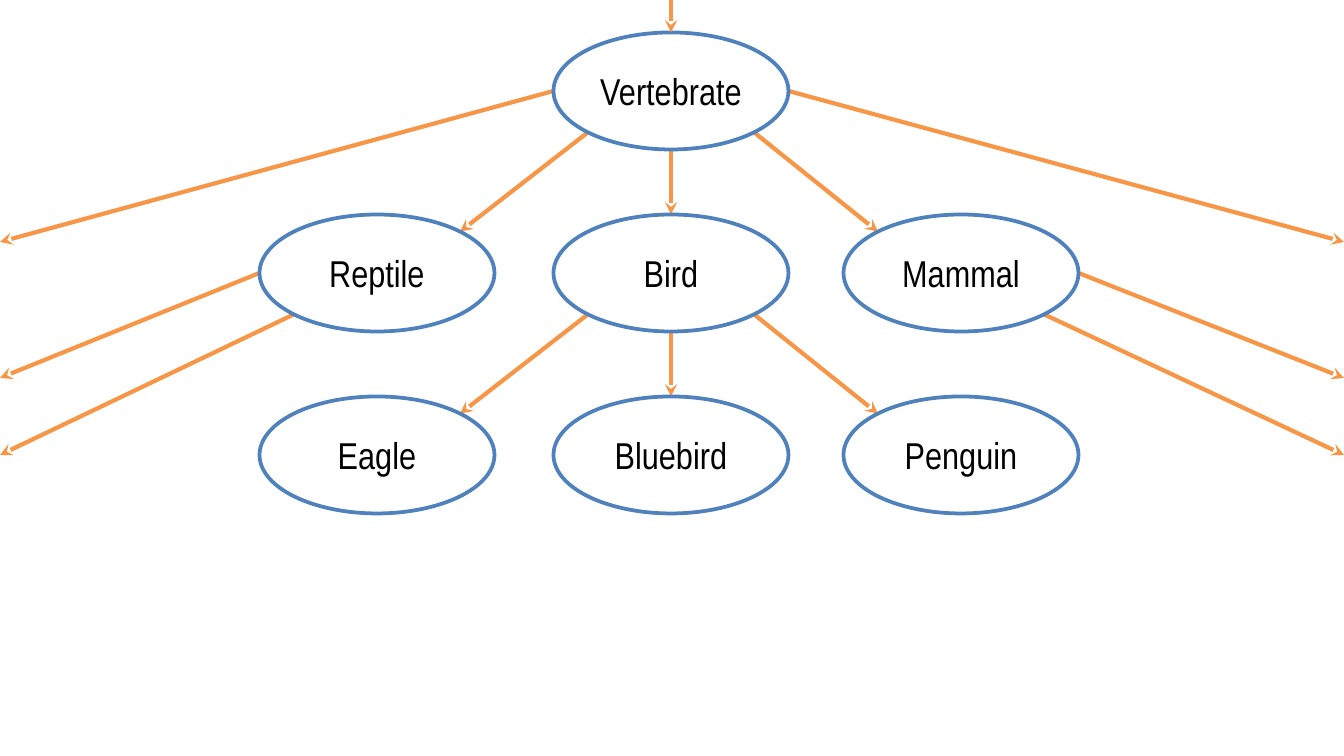
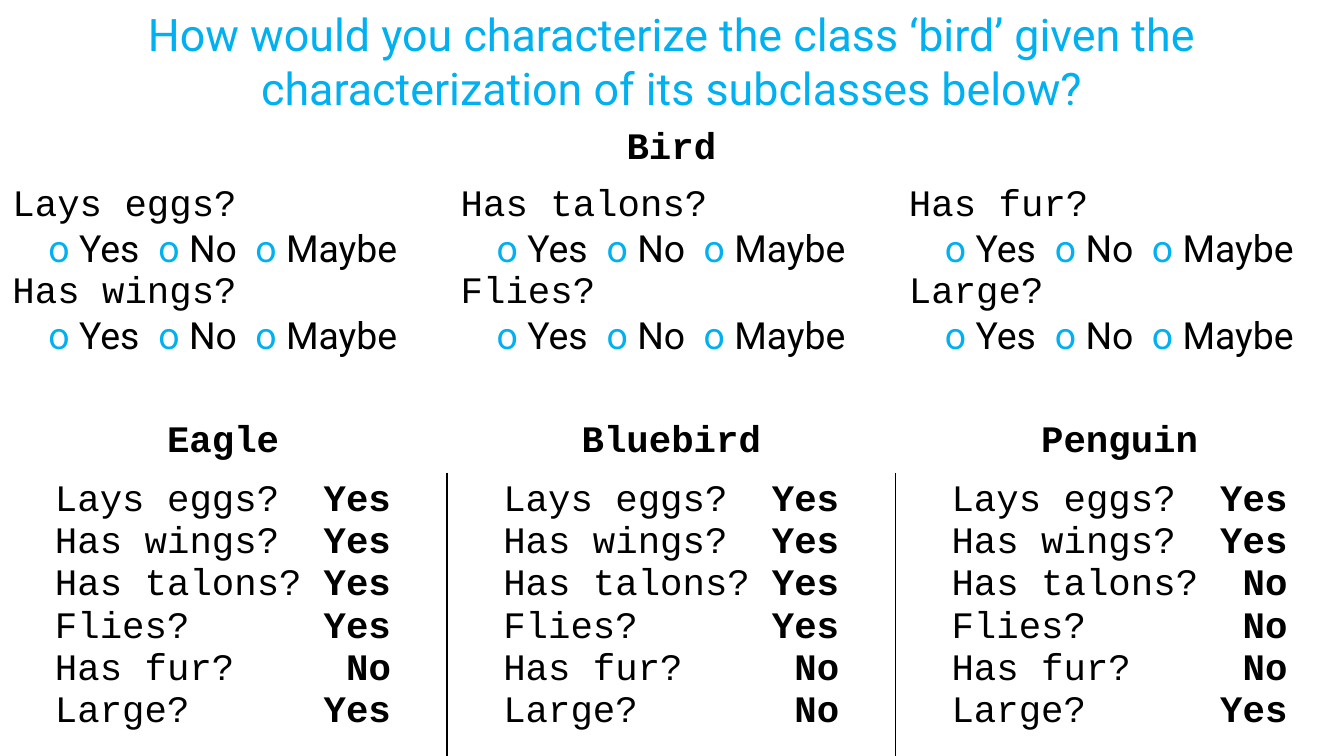
from math import sqrt

from pptx import Presentation
from pptx import util as u
from pptx.dml.color import RGBColor
from pptx.enum import shapes, text
from pptx.oxml import ns, xmlchemy

SCALE = 914400 / 134.4
WIDE, HIGH = 1344, 756
INK = {"paper": "FFFFFF", "text": "000000", "node": "4F81BD",
       "arrow": "F79646", "accent": "00B0F0"}
SANS, MONO, NARROW = "Roboto", "Courier New", "Arial Narrow"
MID, LEFT = text.PP_ALIGN.CENTER, text.PP_ALIGN.LEFT

NODE_W, NODE_H = 235, 117
COLS, ROWS = (377, 671, 961), (91, 273, 455)
TREE = [["", "Vertebrate", ""],
        ["Reptile", "Bird", "Mammal"],
        ["Eagle", "Bluebird", "Penguin"]]
ASKS = [["Lays eggs?", "Has wings?"], ["Has talons?", "Flies?"],
        ["Has fur?", "Large?"]]
TRAITS = ["Lays eggs?", "Has wings?", "Has talons?", "Flies?", "Has fur?", "Large?"]
BIRDS = {"Eagle": "Yes Yes Yes Yes No Yes",
         "Bluebird": "Yes Yes Yes Yes No No",
         "Penguin": "Yes Yes No No No Yes"}


def px(n):
    return u.Emu(round(n * SCALE))


def rgb(name):
    return RGBColor.from_string(INK[name])


def child(parent, tag, **attrs):
    node = xmlchemy.OxmlElement(tag)
    for key, val in attrs.items():
        node.set(key, str(val))
    parent.append(node)
    return node


def put(frame, *runs, font=MONO, size=20, ink="text", bold=False, align=LEFT, tabs=()):
    para = frame.paragraphs[0]
    if para.runs:
        para = frame.add_paragraph()
    para.alignment = align
    if tabs:
        stops = child(para._p.get_or_add_pPr(), "a:tabLst")
        for pos, side in tabs:
            child(stops, "a:tab", pos=px(pos), algn=side)
    for item in runs:
        words, own = (item, {}) if isinstance(item, str) else item
        run = para.add_run()
        run.text = words
        run.font.name = font
        run.font.size = u.Pt(size)
        run.font.bold = own.get("bold", bold)
        run.font.color.rgb = rgb(own.get("ink", ink))


def arrow(slide, start, end):
    line = slide.shapes.add_connector(
        shapes.MSO_CONNECTOR.STRAIGHT, *map(px, (*start, *end)))
    line.line.color.rgb = rgb("arrow")
    line.line.width = u.Pt(2.25)
    props = line._element.spPr
    child(props.find(ns.qn("a:ln")), "a:tailEnd", type="stealth")
    child(props, "a:effectLst")


def node(slide, col, row):
    oval = slide.shapes.add_shape(
        shapes.MSO_SHAPE.OVAL, px(COLS[col] - NODE_W / 2), px(ROWS[row] - NODE_H / 2),
        px(NODE_W), px(NODE_H))
    oval.shadow.inherit = False
    oval.fill.solid()
    oval.fill.fore_color.rgb = rgb("paper")
    oval.line.color.rgb = rgb("node")
    oval.line.width = u.Pt(2)
    frame = oval.text_frame
    frame.margin_left = frame.margin_right = frame.margin_top = frame.margin_bottom = 0
    frame.vertical_anchor = text.MSO_ANCHOR.MIDDLE
    frame.word_wrap = True
    put(frame, TREE[row][col], font=NARROW, align=MID)


def site(col, row, dx, dy):
    reach = sqrt(0.5) if dx and dy else 1
    return (COLS[col] + dx * reach * NODE_W / 2, ROWS[row] + dy * reach * NODE_H / 2)


def tree(slide):
    for row in (0, 1):
        for col, dx in enumerate((-1, 0, 1)):
            arrow(slide, site(1, row, dx, 1), site(col, row + 1, -dx, -1))
    for dx, edge in ((-1, 0), (1, WIDE)):
        side = 1 + dx
        arrow(slide, site(1, 0, dx, 0), (edge, 242))
        arrow(slide, site(side, 1, dx, 0), (edge, 378))
        arrow(slide, site(side, 1, dx, 1), (edge, 455))
    for row, names in enumerate(TREE):
        for col, name in enumerate(names):
            if name:
                node(slide, col, row)
    arrow(slide, (COLS[1], 0), site(1, 0, 0, -1))


def title(slide, words, box):
    shape = slide.shapes.add_textbox(*map(px, box))
    frame = shape.text_frame
    frame.word_wrap = True
    frame.auto_size = text.MSO_AUTO_SIZE.SHAPE_TO_FIT_TEXT
    put(frame, words, font=SANS, size=24, ink="accent", align=MID)


def grid(slide, box, heads):
    x, y, w, h = box
    table = slide.shapes.add_table(2, 3, *map(px, box)).table
    table.horz_banding = False
    for col in table.columns:
        col.width = px(w / 3)
    for row, size in zip(table.rows, (57, h - 57)):
        row.height = px(size)
    for cell in table.iter_cells():
        cell.fill.solid()
        cell.fill.fore_color.rgb = rgb("paper")
    for col, head in enumerate(heads):
        if head:
            put(table.cell(0, col).text_frame, head, bold=True, align=MID)
    return [table.cell(1, col) for col in range(3)]


def rule(cell, side):
    line = xmlchemy.OxmlElement("a:" + side)
    line.set("w", str(u.Pt(1)))
    child(child(line, "a:solidFill"), "a:srgbClr", val=INK["text"])
    cell._tc.get_or_add_tcPr().insert(0, line)


def quiz(slide, box):
    tabs = [(36, "l"), (146, "l"), (243, "l")]
    picks = []
    for word in ("Yes", "No", "Maybe"):
        picks += [("\tο", {"ink": "accent"}), " " + word]
    for cell, asks in zip(grid(slide, box, ["", "Bird", ""]), ASKS):
        for ask in asks:
            put(cell.text_frame, ask)
            put(cell.text_frame, *picks, font=SANS, tabs=tabs)


def facts(slide, box):
    for col, (cell, marks) in enumerate(zip(grid(slide, box, BIRDS), BIRDS.values())):
        cell.margin_left = px(56)
        for trait, mark in zip(TRAITS, marks.split()):
            put(cell.text_frame, trait, ("\t" + mark, {"bold": True}), tabs=[(336, "r")])
        if col < 2:
            rule(cell, "lnR")
        if col:
            rule(cell, "lnL")


def main():
    deck = Presentation()
    deck.slide_width, deck.slide_height = px(WIDE), px(HIGH)
    blank = deck.slide_layouts[6]
    tree(deck.slides.add_slide(blank))
    page = deck.slides.add_slide(blank)
    quiz(page, (-1, 122, 1345, 251))
    title(page, "How would you characterize the class ‘bird’ given the "
          "characterization of its subclasses below?", (-1, 0, 1345, 122))
    facts(page, (-1, 415, 1345, 340))
    deck.save("out.pptx")


if __name__ == "__main__":
    main()
